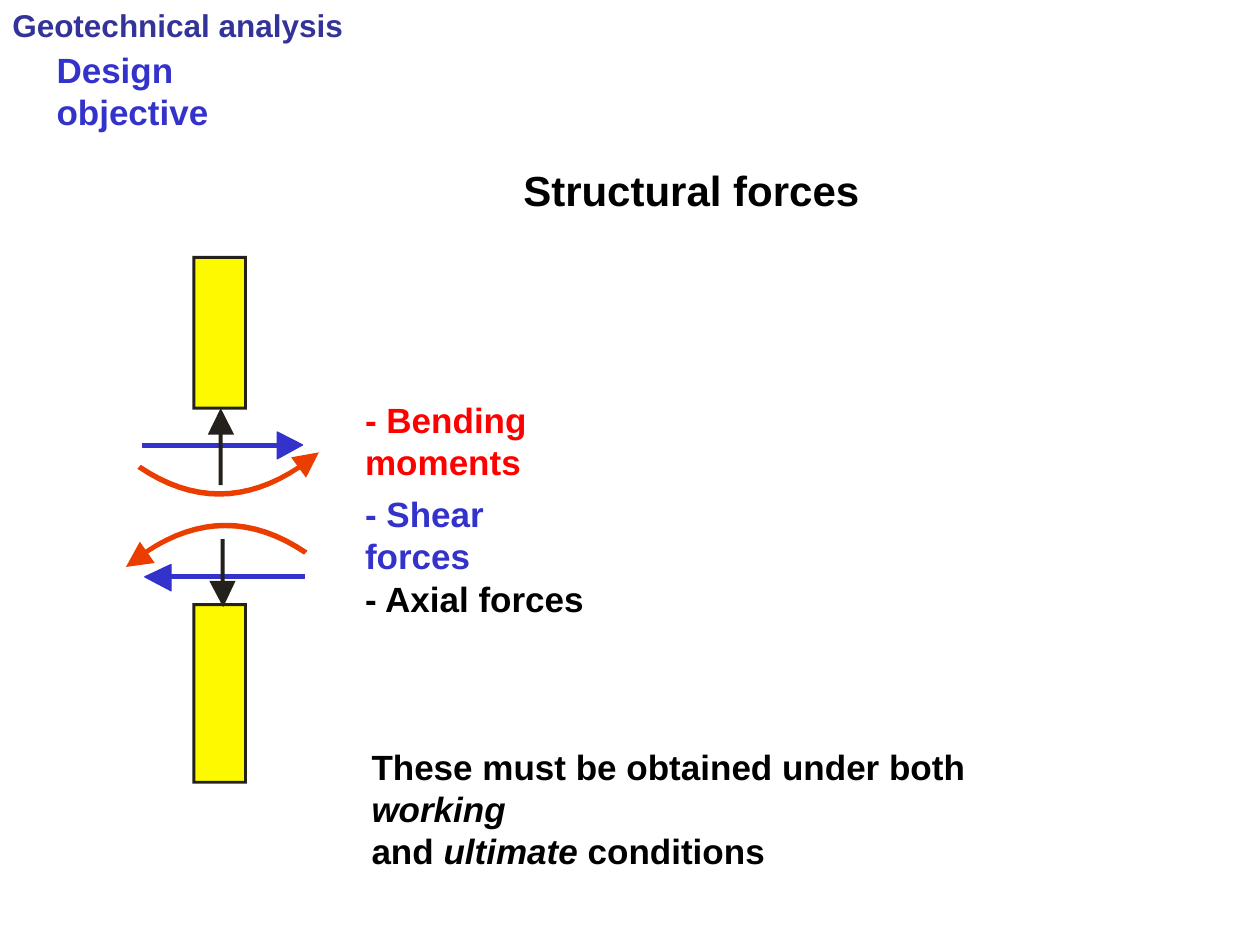
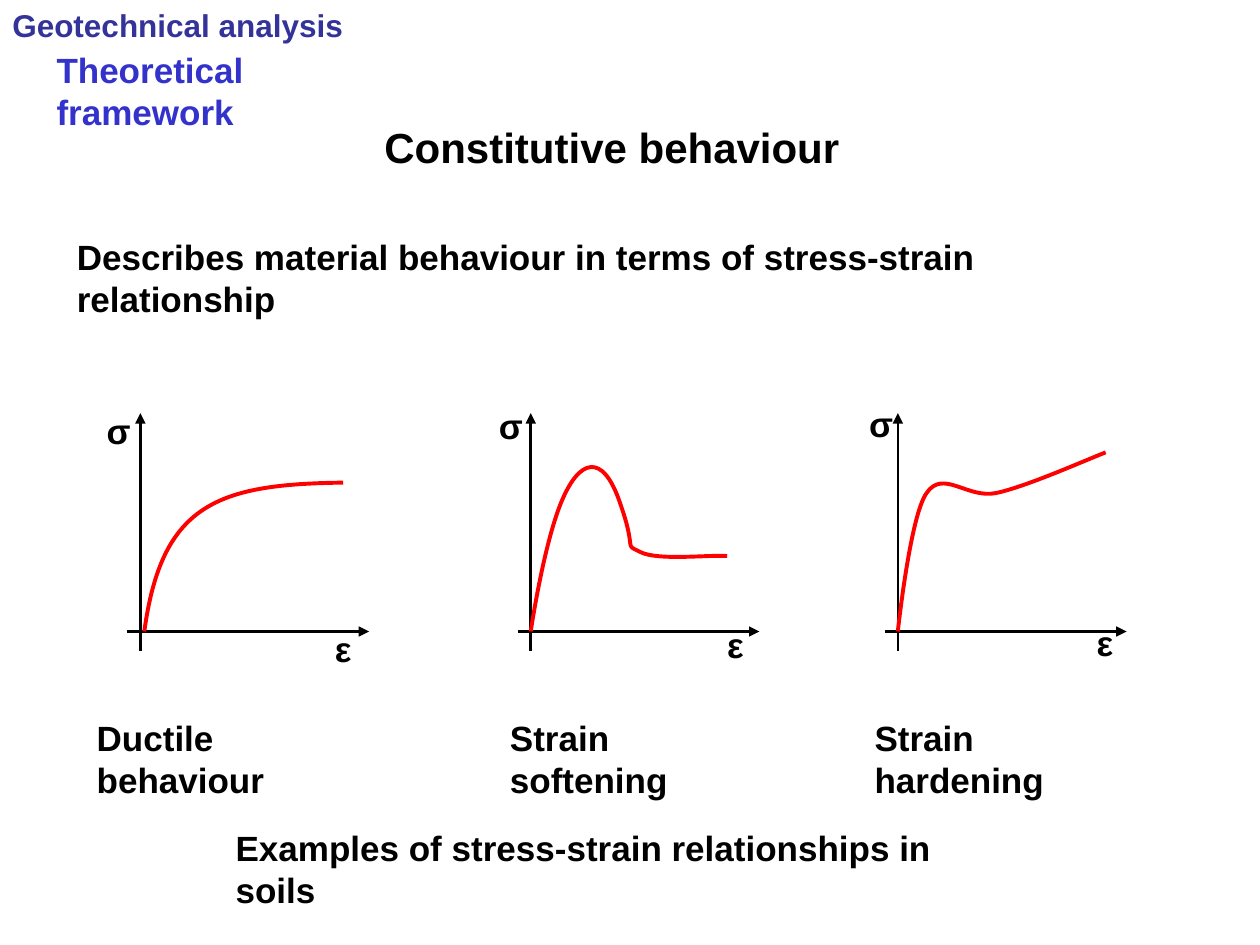
from dataclasses import dataclass

from lxml.etree import SubElement
from pptx import Presentation
from pptx.dml.color import RGBColor
from pptx.enum.shapes import MSO_CONNECTOR as Connector, MSO_SHAPE as Preset
from pptx.oxml.ns import qn
from pptx.slide import Slide
from pptx.util import Cm, Pt

FONT = "Arial"
BLACK = RGBColor(0x00, 0x00, 0x00)
NAVY = RGBColor(0x33, 0x33, 0x99)
BLUE = RGBColor(0x33, 0x33, 0xCC)
RED = RGBColor(0xFF, 0x00, 0x00)
ORANGE = RGBColor(0xEB, 0x3D, 0x00)
YELLOW = RGBColor(0xFD, 0xFA, 0x00)
CHARCOAL = RGBColor(0x24, 0x21, 0x1D)

SHEAR_OUTLINE = 0.75
AXIS_WIDTH = 1.5
CURVE_WIDTH = 2.25
BAND_STEPS = 16
BAR_THICKNESS = 0.08
STRAIN_AXIS_Y = 12.73

Point = tuple[float, float]
Points = tuple[Point, ...]


@dataclass(frozen=True)
class Label:
    text: str
    left: float
    top: float
    width: float
    color: RGBColor = BLACK
    size: int = 20


@dataclass(frozen=True)
class Bar:
    left: float
    top: float
    width: float
    height: float
    color: RGBColor
    outline: float = 0


@dataclass(frozen=True)
class ForceArrow:
    shaft: Bar
    head: Points


@dataclass(frozen=True)
class StressStrainPlot:
    origin_x: float
    curve: Points
    stress_label: Point
    strain_label: Point
    caption: Label


FORCE_LABELS = (
    Label("- Bending moments", 7.11, 7.9, 6.9, RED),
    Label("- Shear forces", 7.11, 9.8, 5.1, BLUE),
    Label("- Axial forces", 7.11, 11.52, 5.1),
    Label("These must be obtained under both *working*\nand *ultimate* conditions",
          7.24, 14.91, 15.2),
)

SHEAR_ARROWS = (
    ForceArrow(Bar(2.87, 8.94, 2.74, BAR_THICKNESS, BLUE, SHEAR_OUTLINE),
               ((6.1, 8.97), (5.59, 8.71), (5.59, 9.25))),
    ForceArrow(Bar(3.4, 11.58, 2.74, BAR_THICKNESS, BLUE, SHEAR_OUTLINE),
               ((2.92, 11.63), (3.45, 11.91), (3.45, 11.38))),
)

AXIAL_ARROWS = (
    ForceArrow(Bar(4.45, 10.87, BAR_THICKNESS, 0.84, CHARCOAL),
               ((4.5, 12.24), (4.75, 11.71), (4.22, 11.71))),
    ForceArrow(Bar(4.41, 8.71, BAR_THICKNESS, 1.07, CHARCOAL),
               ((4.45, 8.23), (4.19, 8.76), (4.72, 8.76))),
)

MOMENT_INNER = ((2.84, 9.37), (3.9, 10.08), (4.95, 10.08), (6.02, 9.37))
MOMENT_OUTER = ((2.77, 9.45), (3.87, 10.2), (4.97, 10.2), (6.07, 9.45))
MOMENT_HEADS = (
    ((6.43, 9.12), (5.87, 9.22), (6.17, 9.63)),
    ((2.54, 11.43), (3.12, 11.35), (2.82, 10.92)),
)

PLOTS = (
    StressStrainPlot(
        2.83,
        ((0.08, 0), (0.43, 2.57), (1.55, 2.97), (4.09, 3)),
        (1.9, 8.13), (6.5, 12.52),
        Label("Ductile behaviour", 1.7, 14.32, 6.3)),
    StressStrainPlot(
        10.7,
        ((0, 0), (0, 0), (0.25, 1.7), (0.61, 2.59),
         (0.97, 3.48), (1.45, 3.63), (1.8, 2.59),
         (2.16, 1.57), (1.85, 1.78), (2.21, 1.6),
         (2.57, 1.42), (3.61, 1.55), (3.96, 1.52)),
        (9.81, 8.03), (14.41, 12.45),
        Label("Strain softening", 10.03, 14.32, 5.7)),
    StressStrainPlot(
        18.1,
        ((0, 0), (0, 0), (0.25, 2.34), (0.58, 2.79),
         (0.91, 3.28), (1.4, 2.67), (1.98, 2.79),
         (2.59, 2.92), (3.73, 3.43), (4.19, 3.61)),
        (17.27, 7.99), (21.86, 12.4),
        Label("Strain hardening", 17.38, 14.32, 6)),
)


def draw_label(slide: Slide, label: Label) -> None:
    lines = label.text.split("\n")
    box = slide.shapes.add_textbox(Cm(label.left), Cm(label.top),
                                   Cm(label.width), Cm(1.1 * len(lines)))
    text_frame = box.text_frame
    text_frame.word_wrap = True
    for index, line in enumerate(lines):
        paragraph = text_frame.add_paragraph() if index else text_frame.paragraphs[0]
        for position, piece in enumerate(line.split("*")):
            if not piece:
                continue
            run = paragraph.add_run()
            run.text = piece
            run.font.name = FONT
            run.font.size = Pt(label.size)
            run.font.bold = True
            run.font.italic = position % 2 == 1
            run.font.color.rgb = label.color


def paint(shape, color: RGBColor, outline: float = 0) -> None:
    shape.shadow.inherit = False
    shape.fill.solid()
    shape.fill.fore_color.rgb = color
    if outline:
        shape.line.color.rgb = color
        shape.line.width = Pt(outline)
    else:
        shape.line.fill.background()


def draw_bar(slide: Slide, bar: Bar) -> None:
    shape = slide.shapes.add_shape(Preset.RECTANGLE, Cm(bar.left), Cm(bar.top),
                                   Cm(bar.width), Cm(bar.height))
    paint(shape, bar.color, bar.outline)


def build_outline(slide: Slide, *contours: Points, close: bool = True):
    (start_x, start_y), *_ = contours[0]
    builder = slide.shapes.build_freeform(Cm(start_x), Cm(start_y))
    for index, contour in enumerate(contours):
        points = [(Cm(x), Cm(y)) for x, y in contour]
        if index:
            builder.move_to(*points[0])
        builder.add_line_segments(points[1:], close=close)
    return builder.convert_to_shape()


def draw_force(slide: Slide, arrow: ForceArrow) -> None:
    draw_bar(slide, arrow.shaft)
    paint(build_outline(slide, arrow.head), arrow.shaft.color, arrow.shaft.outline)


def bezier_points(controls: Points) -> Points:
    points = []
    for step in range(BAND_STEPS + 1):
        t = step / BAND_STEPS
        weights = ((1 - t) ** 3, 3 * t * (1 - t) ** 2, 3 * t * t * (1 - t), t ** 3)
        points.append(tuple(sum(weight * value for weight, value in zip(weights, values))
                            for values in zip(*controls)))
    return tuple(points)


def draw_moments(slide: Slide) -> None:
    upper_band = bezier_points(MOMENT_INNER) + bezier_points(MOMENT_OUTER)[::-1]
    lower_band = tuple((8.97 - x, 20.55 - y) for x, y in upper_band)
    for band, head in zip((upper_band, lower_band), MOMENT_HEADS):
        for outline in (band, head):
            paint(build_outline(slide, outline), ORANGE)


def inset_corners(bar: Bar, inset: float) -> Points:
    left, top = bar.left + inset, bar.top + inset
    right, bottom = bar.left + bar.width - inset, bar.top + bar.height - inset
    return (left, top), (right, top), (right, bottom), (left, bottom)


def draw_column(slide: Slide, top: float, height: float) -> None:
    column = Bar(3.91, top, 1.04, height, YELLOW)
    draw_bar(slide, column)
    frame = build_outline(slide, inset_corners(column, -0.03),
                          inset_corners(column, 0.03)[::-1])
    paint(frame, CHARCOAL)


def draw_curve(slide: Slide, controls: Points) -> None:
    shape = build_outline(slide, controls, close=False)
    shape.shadow.inherit = False
    shape.fill.background()
    shape.line.color.rgb = RED
    shape.line.width = Pt(CURVE_WIDTH)
    segments = list(shape._element.iter(qn("a:lnTo")))
    for first in range(0, len(segments), 3):
        bezier = SubElement(segments[first].getparent(), qn("a:cubicBezTo"))
        for segment in segments[first:first + 3]:
            bezier.append(segment[0])
            segment.getparent().remove(segment)


def draw_axis(slide: Slide, start: Point, end: Point, arrow_end: str) -> None:
    axis = slide.shapes.add_connector(Connector.STRAIGHT,
                                      *(Cm(value) for value in start + end))
    axis.line.color.rgb = BLACK
    axis.line.width = Pt(AXIS_WIDTH)
    SubElement(axis.line._get_or_add_ln(), qn(arrow_end), type="triangle")
    SubElement(axis._element.spPr, qn("a:effectLst"))


def draw_plot(slide: Slide, plot: StressStrainPlot) -> None:
    x, y = plot.origin_x, STRAIN_AXIS_Y
    draw_axis(slide, (x, y - 4.4), (x, y + 0.4), "a:headEnd")
    draw_axis(slide, (x - 0.26, y), (x + 4.61, y), "a:tailEnd")
    draw_curve(slide, tuple((x + strain, y - stress) for strain, stress in plot.curve))


def label_plot(slide: Slide, plot: StressStrainPlot) -> None:
    draw_label(slide, plot.caption)
    draw_label(slide, Label("σ", *plot.stress_label, 0.94))
    draw_label(slide, Label("ε", *plot.strain_label, 0.94))


def add_slide(presentation, section: Label, title: Label) -> Slide:
    slide = presentation.slides.add_slide(presentation.slide_layouts[6])
    draw_label(slide, Label("Geotechnical analysis", 0, 0, 7.3, NAVY, 18))
    draw_label(slide, section)
    draw_label(slide, title)
    return slide


def build_forces_slide(presentation) -> None:
    slide = add_slide(presentation,
                      Label("Design objective", 0.89, 0.86, 6, BLUE),
                      Label("Structural forces", 10.3, 3.2, 7.4, size=24))
    for label in FORCE_LABELS:
        draw_label(slide, label)
    draw_column(slide, 5.19, 3.04)
    draw_column(slide, 12.19, 3.58)
    for arrow in SHEAR_ARROWS:
        draw_force(slide, arrow)
    draw_moments(slide)
    for arrow in AXIAL_ARROWS:
        draw_force(slide, arrow)


def build_behaviour_slide(presentation) -> None:
    slide = add_slide(presentation,
                      Label("Theoretical framework", 0.89, 0.86, 7.9, BLUE),
                      Label("Constitutive behaviour", 7.5, 2.32, 9.8, size=24))
    draw_label(slide, Label(
        "Describes material behaviour in terms of stress-strain relationship",
        1.3, 4.62, 22.5))
    for plot in PLOTS:
        draw_plot(slide, plot)
    for plot in PLOTS:
        label_plot(slide, plot)
    draw_label(slide, Label("Examples of stress-strain relationships in soils",
                            4.5, 16.54, 16.1))


def main() -> None:
    presentation = Presentation()
    presentation.slide_width = Cm(25.4)
    presentation.slide_height = Cm(19.05)
    build_forces_slide(presentation)
    build_behaviour_slide(presentation)
    presentation.save("out.pptx")


if __name__ == "__main__":
    main()
